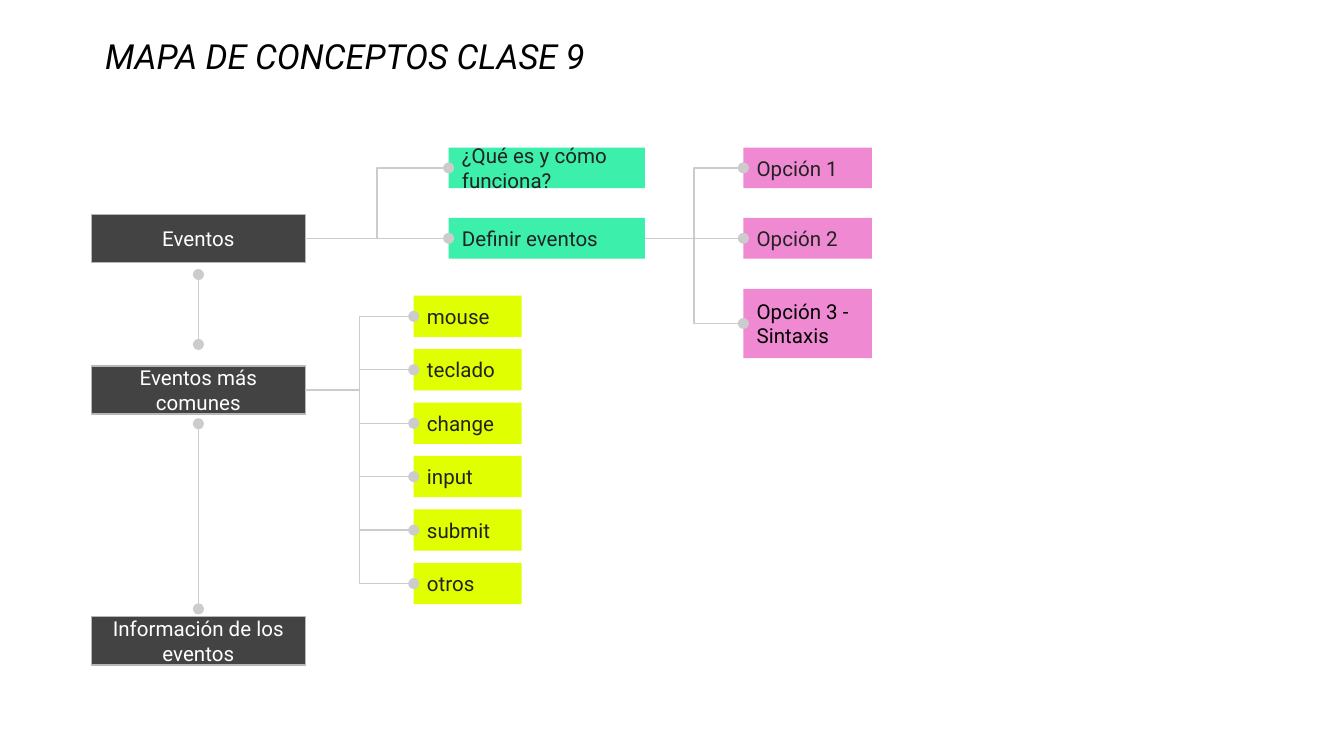
from pptx import Presentation
from pptx.dml.color import RGBColor
from pptx.enum.shapes import MSO_CONNECTOR as Link, MSO_SHAPE as Preset
from pptx.enum.text import MSO_ANCHOR as Anchor, PP_ALIGN as Align
from pptx.oxml.ns import qn
from pptx.util import Cm, Pt
from lxml.etree import SubElement

BLACK = RGBColor(0x00, 0x00, 0x00)
WHITE = RGBColor(0xFF, 0xFF, 0xFF)
INK = RGBColor(0x22, 0x22, 0x22)
CHARCOAL = RGBColor(0x43, 0x43, 0x43)
BORDER = RGBColor(0xB7, 0xB7, 0xB7)
LINK_GRAY = RGBColor(0xCC, 0xCC, 0xCC)
MINT = RGBColor(0x3C, 0xEF, 0xAB)
PINK = RGBColor(0xEF, 0x89, 0xD2)
LIME = RGBColor(0xE0, 0xFF, 0x00)

FONT = "Roboto"
RIGHT_SIDE, LEFT_SIDE = 3, 1


def set_text(holder, text, size, color, anchor, align):
    frame = holder.text_frame
    frame.word_wrap = True
    frame.vertical_anchor = anchor
    frame.margin_left = frame.margin_right = Cm(0.25)
    frame.margin_top = frame.margin_bottom = Cm(0.25)
    paragraph = frame.paragraphs[0]
    paragraph.text = text
    paragraph.alignment = align
    paragraph.font.name = FONT
    paragraph.font.size = Pt(size)
    paragraph.font.color.rgb = color
    return paragraph


def add_concept(slide, box, text, fill, color=INK, align=Align.LEFT, border=None):
    concept = slide.shapes.add_shape(Preset.RECTANGLE, *map(Cm, box))
    concept.shadow.inherit = False
    concept.fill.solid()
    concept.fill.fore_color.rgb = fill
    if border is None:
        concept.line.fill.background()
    else:
        concept.line.color.rgb = border
        concept.line.width = Pt(0.75)
    set_text(concept, text, 11, color, Anchor.MIDDLE, align)
    return concept


def add_link(slide, kind, ends, dots):
    link = slide.shapes.add_connector(kind, *map(Cm, ends))
    link.line.color.rgb = LINK_GRAY
    link.line.width = Pt(0.75)
    outline = link.line._get_or_add_ln()
    for dot in dots:
        SubElement(outline, qn(f"a:{dot}"), type="oval")
    SubElement(link._element.spPr, qn("a:effectLst"))
    return link


def add_branches(slide, parent, children):
    for child in children:
        branch = add_link(slide, Link.ELBOW, (0, 0, 0, 0), ["tailEnd"])
        branch.begin_connect(parent, RIGHT_SIDE)
        branch.end_connect(child, LEFT_SIDE)


def add_title(slide, box):
    title = slide.shapes.add_textbox(*map(Cm, box))
    heading = set_text(title, "MAPA DE CONCEPTOS CLASE 9", 18.5, BLACK, Anchor.TOP, Align.LEFT)
    heading.font.italic = True
    heading.line_spacing = 0.8


def add_topics(slide, box):
    left, top, width, height = box
    topic_height = 0.91
    topics = [
        add_concept(slide, (left, top + offset, width, topic_height), text,
                    CHARCOAL, WHITE, Align.CENTER, BORDER)
        for text, offset in [("Eventos", 0), ("Eventos más comunes", 2.87),
                             ("Información de los eventos", height - topic_height)]
    ]
    center = left + width / 2
    for start, end in [(1.14, 2.46), (3.96, 7.46)]:
        add_link(slide, Link.STRAIGHT, (center, top + start, center, top + end),
                 ["headEnd", "tailEnd"])
    return topics


def add_definitions(slide, box, topic):
    left, top, width, height = box
    row = 0.77
    definitions = [
        add_concept(slide, (left, y, width, row), text, MINT)
        for text, y in [("¿Qué es y cómo funciona?", top),
                        ("Definir eventos", top + height - row)]
    ]
    add_branches(slide, topic, definitions)
    return definitions


def add_options(slide, box, definition):
    left, top, width, height = box
    row, tall_row, step = 0.77, 1.31, 1.33
    options = [
        add_concept(slide, (left, top + index * step, width, row), f"Opción {index + 1}", PINK)
        for index in range(2)
    ]
    options.append(add_concept(slide, (left, top + height - tall_row, width, tall_row),
                               "Opción 3 - Sintaxis", PINK, BLACK))
    add_branches(slide, definition, options)


def add_common_events(slide, box, topic):
    left, top, width, height = box
    names = ["mouse", "teclado", "change", "input", "submit", "otros"]
    row = 0.78
    step = (height - row) / (len(names) - 1)
    events = [
        add_concept(slide, (left, top + index * step, width, row), name, LIME)
        for index, name in enumerate(names)
    ]
    add_branches(slide, topic, events)


def main():
    deck = Presentation()
    deck.slide_width, deck.slide_height = Cm(25.4), Cm(14.29)
    slide = deck.slides.add_slide(deck.slide_layouts[6])
    add_title(slide, (1.74, 0.56, 19.74, 1.17))
    events_topic, common_topic, _ = add_topics(slide, (1.73, 4.05, 4.04, 8.52))
    _, define = add_definitions(slide, (8.48, 2.79, 3.71, 2.1), events_topic)
    add_options(slide, (14.05, 2.79, 2.43, 3.98), define)
    add_common_events(slide, (7.82, 5.59, 2.04, 5.83), common_topic)
    deck.save("out.pptx")


if __name__ == "__main__":
    main()
